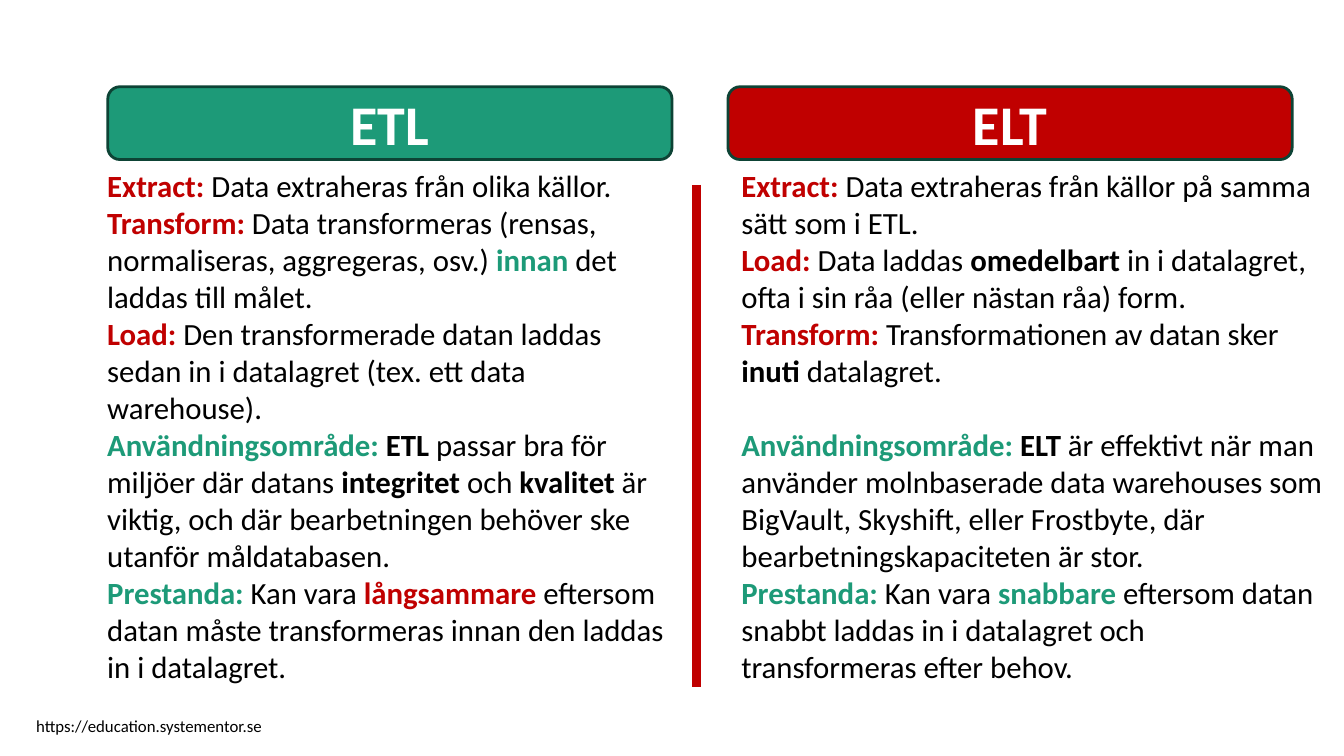
"""Build a slide that sets ETL beside ELT."""
import pptx
import pptx.util
import pptx.dml.color
import pptx.enum.shapes
import pptx.enum.text
import lxml.etree

Pt = pptx.util.Pt
COLORS = {"red": "C00000", "green": "1D9A78", "edge": "0D4335",
          "black": "000000", "white": "FFFFFF"}
FONT = "Calibri"
SIZE = 22
GAP = 26.4

ETL = [
    [("Extract: ", "red", True), ("Data extraheras från olika källor.", "black", False)],
    [("Transform:", "red", True),
     (" Data transformeras (rensas, normaliseras, aggregeras, osv.) ", "black", False),
     ("innan", "green", True), (" det laddas till målet.", "black", False)],
    [("Load:", "red", True),
     (" Den transformerade datan laddas sedan in i datalagret (tex. ett data warehouse).",
      "black", False)],
    [("Användningsområde: ", "green", True), ("ETL", "black", True),
     (" passar bra för miljöer där datans ", "black", False),
     ("integritet", "black", True), (" och ", "black", False),
     ("kvalitet", "black", True),
     (" är viktig, och där bearbetningen behöver ske utanför måldatabasen.",
      "black", False)],
    [("Prestanda: ", "green", True), ("Kan vara ", "black", False),
     ("långsammare", "red", True),
     (" eftersom datan måste transformeras innan den laddas in i datalagret.",
      "black", False)],
]
ELT = [
    [("Extract:", "red", True),
     (" Data extraheras från källor på samma sätt som i ETL.", "black", False)],
    [("Load:", "red", True), (" Data laddas ", "black", False),
     ("omedelbart", "black", True),
     (" in i datalagret, ofta i sin råa (eller nästan råa) form.", "black", False)],
    [("Transform: ", "red", True), ("Transformationen av datan sker ", "black", False),
     ("inuti", "black", True), (" datalagret.", "black", False)],
    [("Användningsområde: ", "green", True), ("ELT", "black", True),
     (" är effektivt när man använder molnbaserade data warehouses som "
      "BigVault, Skyshift, eller Frostbyte, där bearbetningskapaciteten är stor.",
      "black", False)],
    [("Prestanda:", "green", True), (" Kan vara ", "black", False),
     ("snabbare", "green", True),
     (" eftersom datan snabbt laddas in i datalagret och transformeras efter behov.",
      "black", False)],
]


def shade(name):
    """Return the named colour."""
    return pptx.dml.color.RGBColor.from_string(COLORS[name])


def add_run(para, text, color, bold, size):
    """Add one styled run to a paragraph."""
    run = para.add_run()
    run.text = text
    run.font.name = FONT
    run.font.size = Pt(size)
    run.font.bold = bold
    run.font.color.rgb = shade(color)


def add_text(slide, place, paras, size, inset, gaps=()):
    """Add a text box, with a gap before the listed paragraphs."""
    box = slide.shapes.add_textbox(*map(Pt, place))
    frame = box.text_frame
    frame.word_wrap = True
    frame.margin_left = frame.margin_right = Pt(inset[0])
    frame.margin_top = frame.margin_bottom = Pt(inset[1])
    for i, runs in enumerate(paras):
        para = frame.add_paragraph() if i else frame.paragraphs[0]
        if i in gaps:
            para.space_before = Pt(GAP)
        for text, color, bold in runs:
            add_run(para, text, color, bold, size)


def add_head(slide, left, text, fill):
    """Add a rounded column heading."""
    kind = pptx.enum.shapes.MSO_SHAPE.ROUNDED_RECTANGLE
    head = slide.shapes.add_shape(kind, Pt(left), Pt(62), Pt(403), Pt(52))
    head.shadow.inherit = False
    head.fill.solid()
    head.fill.fore_color.rgb = shade(fill)
    head.line.color.rgb = shade("edge")
    head.line.width = Pt(2)
    frame = head.text_frame
    frame.vertical_anchor = pptx.enum.text.MSO_ANCHOR.MIDDLE
    para = frame.paragraphs[0]
    para.alignment = pptx.enum.text.PP_ALIGN.CENTER
    add_run(para, text, "white", True, 40)


def add_rule(slide, x, top, end):
    """Add the upright line between the columns."""
    kind = pptx.enum.shapes.MSO_CONNECTOR.STRAIGHT
    rule = slide.shapes.add_connector(kind, Pt(x), Pt(top), Pt(x), Pt(end))
    rule.line.color.rgb = shade("red")
    rule.line.width = Pt(6)
    props = rule.element.spPr
    lxml.etree.SubElement(props, pptx.oxml.ns.qn("a:effectLst"))


def main():
    """Build and save the slide."""
    deck = pptx.Presentation()
    deck.slide_width = Pt(960)
    deck.slide_height = Pt(540)
    slide = deck.slides.add_slide(deck.slide_layouts[6])
    add_text(slide, (67, 114.5, 421, 389), ETL, SIZE, (9.6, 4.8))
    add_text(slide, (520, 114.5, 437, 394), ELT, SIZE, (9.6, 4.8), gaps=(3,))
    add_rule(slide, 497.5, 132, 491)
    add_head(slide, 77, "ETL", "green")
    add_head(slide, 520, "ELT", "red")
    site = [("https://education.systementor.se", "black", False)]
    add_text(slide, (18.7, 507.6, 281, 21.6), [site], 12, (7.2, 3.6))
    deck.save("out.pptx")


if __name__ == "__main__":
    main()
